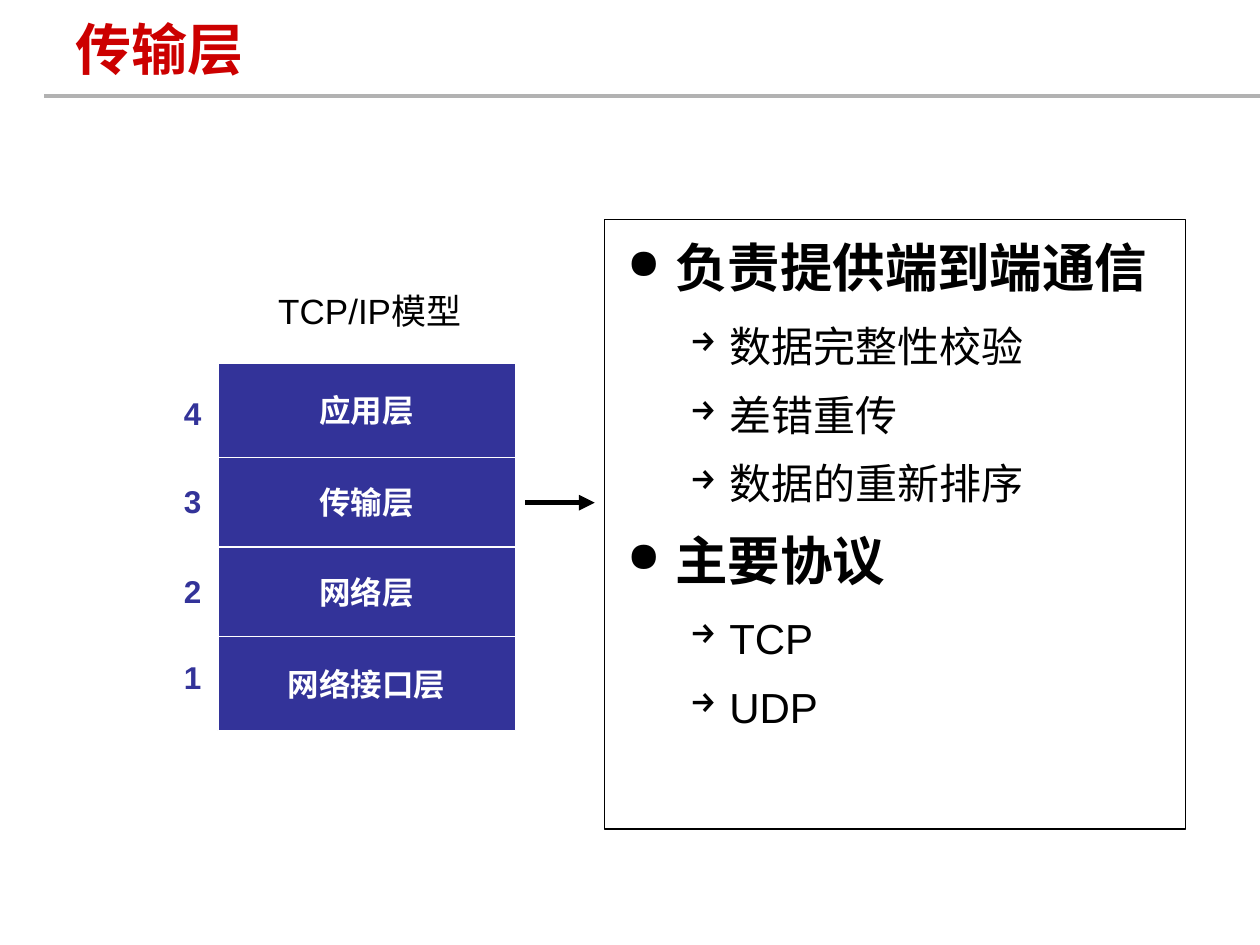
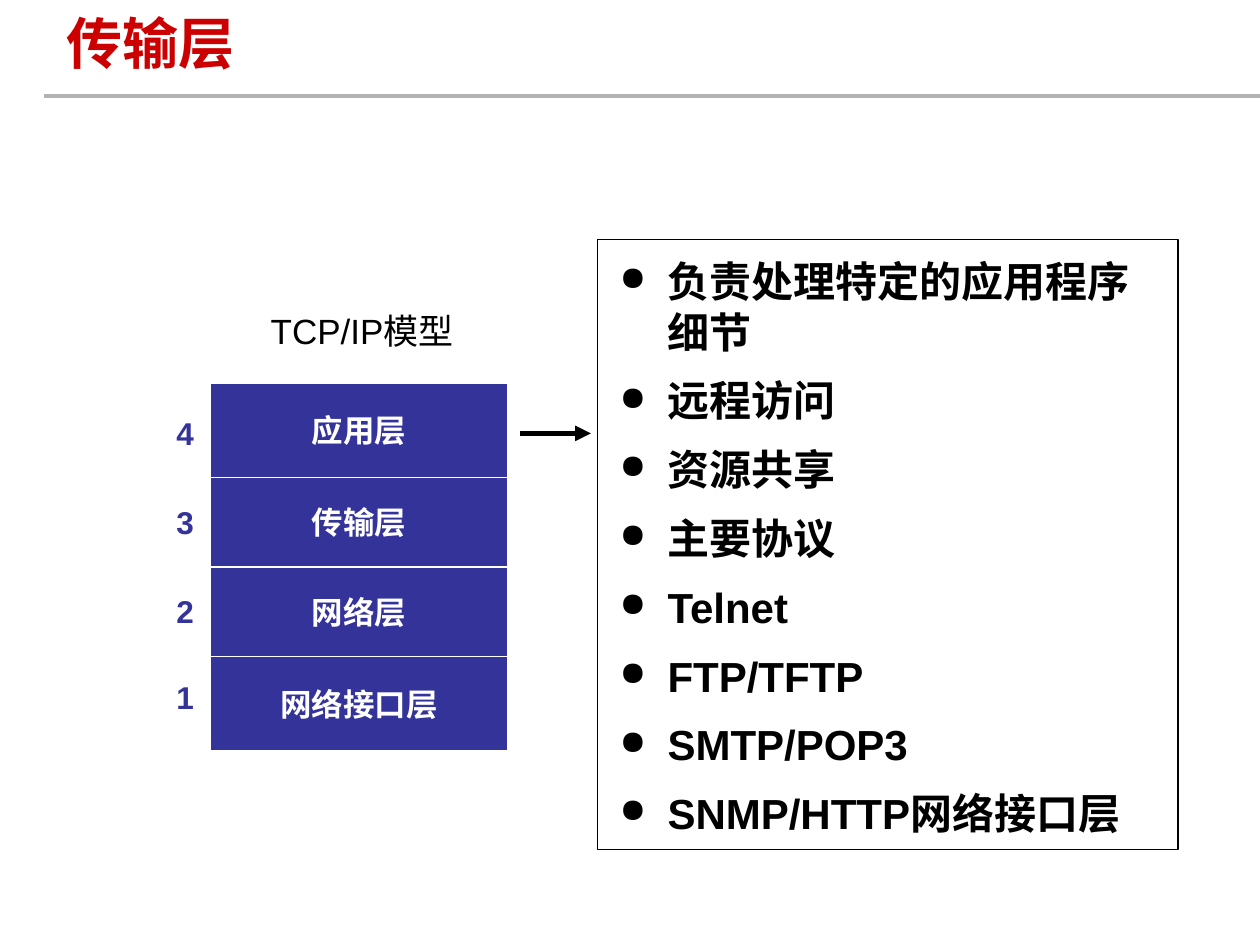
from lxml import etree
from pptx import Presentation, util as u
from pptx.dml import color as dml
from pptx.enum import shapes, text
from pptx.oxml import ns

# Content: layers from top to bottom, with height and label offset in inches
TITLE = "传输层"
MODEL = "TCP/IP模型"
LAYERS = [("应用层", 0.75, 0.20), ("传输层", 0.71, 0.90),
          ("网络层", 0.71, 1.61), ("网络接口层", 0.75, 2.29)]

# Each slide: title corner, top left of the stack, arrow start and length
# (from the stack's corner), and points as (style, wording)
SLIDES = [
    {"title_at": (0.5, 0.05), "stack_at": (1.73, 2.88), "arrow": (2.44, 1.11, 0.55),
     "points": [("head", "负责提供端到端通信"),
                ("sub", "数据完整性校验"),
                ("sub", "差错重传"),
                ("sub", "数据的重新排序"),
                ("head", "主要协议"),
                ("sub", "TCP"),
                ("sub", "UDP")]},
    {"title_at": (0.43, 0), "stack_at": (1.67, 3.04), "arrow": (2.46, 0.40, 0.56),
     "points": [("item", wording) for wording in (
         "负责处理特定的应用程序细节", "远程访问", "资源共享", "主要协议",
         "Telnet", "FTP/TFTP", "SMTP/POP3", "SNMP/HTTP网络接口层")]},
]

# Shared look
RED, BLUE, GREY, BLACK, WHITE = "CC0000", "333399", "B2B2B2", "000000", "FFFFFF"
SANS, SERIF = "Arial", "Times New Roman"
STACK_W = 2.36
MIDDLE = text.MSO_ANCHOR.MIDDLE
CENTER = text.PP_ALIGN.CENTER
# Point style: size, bold, level, space before, space after, margin, hanging, mark
POINT_STYLES = {
    "head": (30, True, 0, 3.7, 9.4, 0.38, 0.38, "●"),
    "sub": (24, False, 1, 3, 7.5, 0.81, 0.31, "→"),
    "item": (24, True, 0, 3, 7.5, 0.38, 0.38, "●"),
}


def rgb(value):
    return dml.RGBColor.from_string(value)


def apply(target, values):
    for name, value in values.items():
        setattr(target, name, value)


def add_element(parent, tag, **attributes):
    return etree.SubElement(parent, ns.qn(tag), attributes)


def write(para, wording, size, color, font=SANS, bold=True):
    span = para.add_run()
    span.text = wording
    apply(span.font, {"size": u.Pt(size), "name": font, "bold": bold})
    span.font.color.rgb = rgb(color)


def add_text(page, at, wording, size, color, bold=True, wrap=True, para_format=None):
    box = page.shapes.add_textbox(*map(u.Inches, at))
    box.text_frame.word_wrap = wrap
    para = box.text_frame.paragraphs[0]
    apply(para, para_format or {})
    write(para, wording, size, color, bold=bold)
    return box


def add_box(page, at, line, fill=None):
    box = page.shapes.add_shape(shapes.MSO_SHAPE.RECTANGLE, *map(u.Inches, at))
    box.shadow.inherit = False
    box.line.color.rgb = rgb(line)
    box.line.width = u.Pt(0.75)
    if fill:
        box.fill.solid()
        box.fill.fore_color.rgb = rgb(fill)
    else:
        box.fill.background()
    return box


def add_line(page, x, y, length, color, width, arrow=False):
    line = page.shapes.add_connector(
        shapes.MSO_CONNECTOR.STRAIGHT, *map(u.Inches, (x, y, x + length, y)))
    line.line.color.rgb = rgb(color)
    line.line.width = u.Pt(width)
    if arrow:
        add_element(line.line._get_or_add_ln(), "a:tailEnd", type="triangle")
    add_element(line._element.spPr, "a:effectLst")


def add_stack(page, left, top):
    add_text(page, (left + 0.2, top - 0.63, 2.01, 0.44), MODEL, 20, BLACK, bold=False,
             para_format={"alignment": CENTER, "space_before": u.Pt(12.5)})
    layer_top = top
    for index, (name, height, label_offset) in enumerate(LAYERS):
        box = add_box(page, (left, layer_top, STACK_W, height), WHITE, BLUE)
        apply(box.text_frame, {"word_wrap": False, "vertical_anchor": MIDDLE})
        para = box.text_frame.paragraphs[0]
        para.alignment = CENTER
        write(para, name, 18, WHITE, SERIF)
        add_text(page, (left - 0.37, top + label_offset, 0.34, 0.4),
                 str(len(LAYERS) - index), 18, BLUE, wrap=False,
                 para_format={"alignment": CENTER})
        layer_top += height


def add_points(page, at, points):
    frame = page.shapes.add_textbox(*map(u.Inches, at)).text_frame
    frame.word_wrap = True
    for index, (style, wording) in enumerate(points):
        size, bold, level, before, after, margin, hanging, mark = POINT_STYLES[style]
        para = frame.add_paragraph() if index else frame.paragraphs[0]
        apply(para, {"level": level, "space_before": u.Pt(before),
                     "space_after": u.Pt(after)})
        write(para, wording, size, BLACK, bold=bold)
        # Bullet mark
        props = para._p.get_or_add_pPr()
        props.set("marL", str(u.Inches(margin)))
        props.set("indent", str(-u.Inches(hanging)))
        add_element(add_element(props, "a:buClr"), "a:srgbClr", val=BLACK)
        add_element(props, "a:buSzPct", val="80000")
        add_element(props, "a:buChar", char=mark)


def build_page(deck, content):
    page = deck.slides.add_slide(deck.slide_layouts[6])
    left, top = content["stack_at"]
    # Title and rule
    add_line(page, 0.35, 0.76, 9.65, GREY, 2.25)
    title = add_text(page, (*content["title_at"], 7.92, 0.67), TITLE, 32, RED)
    title.text_frame.vertical_anchor = MIDDLE
    # Layer stack, arrow and framed points
    add_stack(page, left, top)
    x, y, length = content["arrow"]
    add_line(page, left + x, top + y, length, BLACK, 3, arrow=True)
    add_box(page, (left + 3.07, top - 1.14, 4.61, 4.84), BLACK)
    add_points(page, (left + 3.15, top - 1.06, 4.57, 5.2), content["points"])


def main():
    deck = Presentation()
    apply(deck, {"slide_width": u.Inches(10), "slide_height": u.Inches(7.5)})
    for content in SLIDES:
        build_page(deck, content)
    deck.save("out.pptx")


if __name__ == "__main__":
    main()
